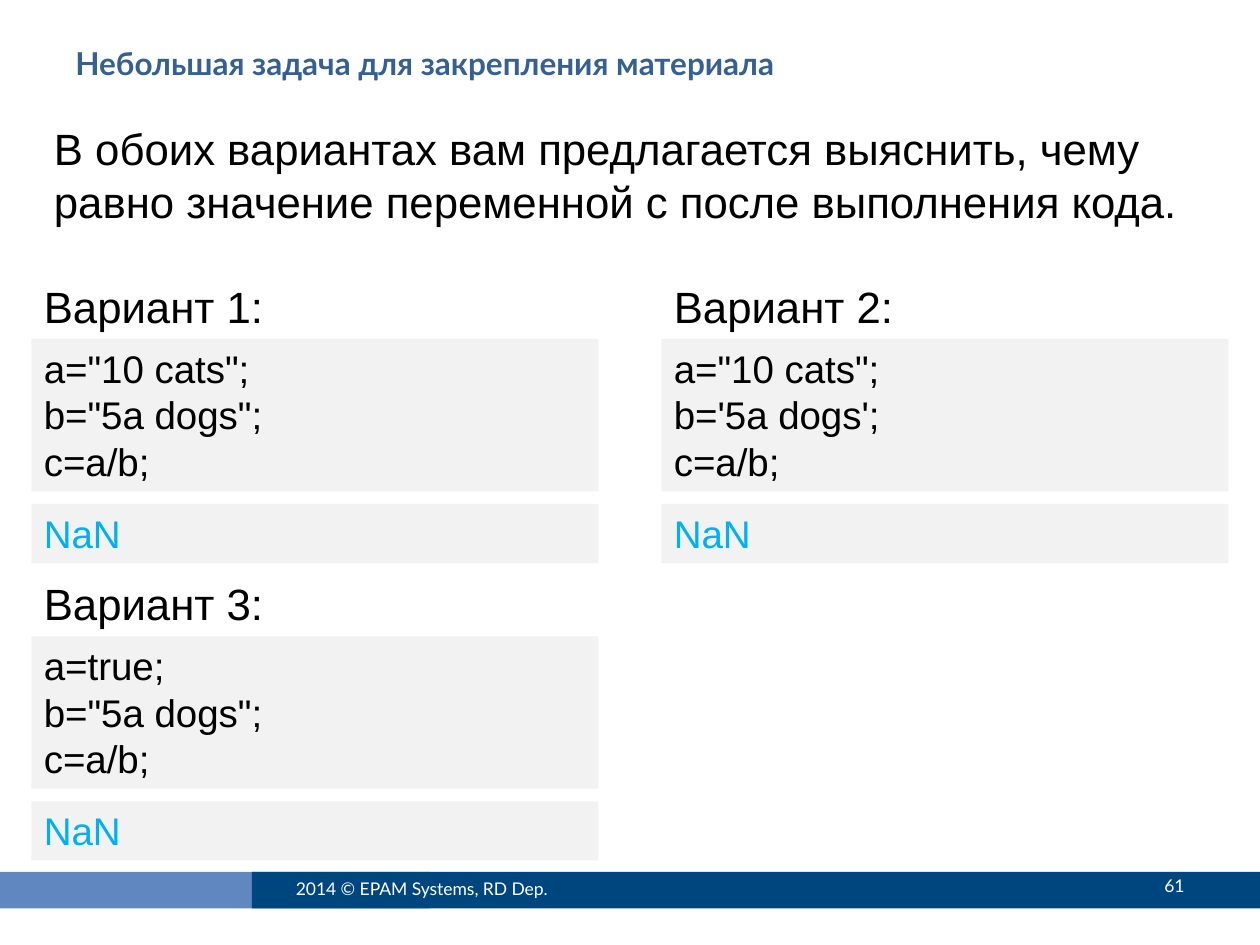
import dataclasses

import pptx
import pptx.dml.color
import pptx.enum.shapes
import pptx.enum.text
import pptx.util

ALIGN = pptx.enum.text.PP_ALIGN
ANCHOR = pptx.enum.text.MSO_ANCHOR


@dataclasses.dataclass(frozen=True)
class Theme:
    body_font: str = "Arial"
    brand_font: str = "Lato"
    heading: str = "376092"
    ink: str = "000000"
    answer: str = "00B0F0"
    panel: str = "F2F2F2"
    accent: str = "6087BF"
    footer: str = "00467E"
    white: str = "FFFFFF"
    title_size: int = 18
    body_size: int = 25
    code_size: int = 22
    footer_size: int = 10


class TaskSlide:
    """Places elements on a grid of 40 columns by 75 rows."""

    COLUMNS, ROWS = 40, 75

    def __init__(self, deck, theme):
        self.theme = theme
        self.slide = deck.slides.add_slide(deck.slide_layouts[6])
        self.column = deck.slide_width / self.COLUMNS
        self.row = deck.slide_height / self.ROWS

    def place(self, left, top, width, height):
        return (round(left * self.column), round(top * self.row),
                round(width * self.column), round(height * self.row))

    def fill_text(self, frame, lines, size, color, font, bold=False,
                  align=ALIGN.LEFT, anchor=ANCHOR.TOP):
        frame.word_wrap = True
        frame.vertical_anchor = anchor
        for number, line in enumerate(lines):
            paragraph = frame.paragraphs[0] if number == 0 else frame.add_paragraph()
            paragraph.alignment = align
            run = paragraph.add_run()
            run.text = line
            run.font.name = font
            run.font.size = pptx.util.Pt(size)
            run.font.bold = bold
            run.font.color.rgb = pptx.dml.color.RGBColor.from_string(color)

    def band(self, area, color):
        band = self.slide.shapes.add_shape(
            pptx.enum.shapes.MSO_SHAPE.RECTANGLE, *self.place(*area))
        band.shadow.inherit = False
        band.fill.solid()
        band.fill.fore_color.rgb = pptx.dml.color.RGBColor.from_string(color)
        band.line.fill.background()
        return band

    def text(self, area, line, size, color, font, **style):
        box = self.slide.shapes.add_textbox(*self.place(*area))
        self.fill_text(box.text_frame, [line], size, color, font, **style)

    def title(self, area, line):
        self.text(area, line, self.theme.title_size, self.theme.heading,
                  self.theme.brand_font, bold=True)

    def body(self, area, line):
        self.text(area, line, self.theme.body_size, self.theme.ink, self.theme.body_font)

    def footnote(self, area, line, align=ALIGN.LEFT):
        self.text(area, line, self.theme.footer_size, self.theme.white,
                  self.theme.brand_font, align=align, anchor=ANCHOR.MIDDLE)

    def panel(self, area, lines, color):
        panel = self.band(area, self.theme.panel)
        self.fill_text(panel.text_frame, lines, self.theme.code_size, color,
                       self.theme.body_font)

    def variant(self, left, top, heading, code, result):
        width = 18
        self.panel((left, top + 5.2, width, 12.1), code, self.theme.ink)
        self.body((left, top, width, 5.2), heading)
        self.panel((left, top + 18.3, width, 4.7), [result], self.theme.answer)


def main():
    deck = pptx.Presentation()
    deck.slide_width = pptx.util.Inches(10)
    deck.slide_height = pptx.util.Inches(7.5)
    theme = Theme()
    task = TaskSlide(deck, theme)

    # Footer bands
    task.band((0, 69.2, 13.64, 2.9), theme.accent)
    task.band((8, 69.2, 32, 2.9), theme.footer)

    # Title, footer text and task statement
    task.title((2, 3, 36, 7.8), "Небольшая задача для закрепления материала")
    task.footnote((9, 68.5, 10.68, 4), "2014 © EPAM Systems, RD Dep.")
    task.footnote((33.68, 68.3, 4.32, 4), "61", ALIGN.RIGHT)
    task.body((1.32, 9.2, 37, 9.4),
              "В обоих вариантах вам предлагается выяснить, чему равно "
              "значение переменной c после выполнения кода.")

    # Variants fill two columns, row by row
    variants = [
        ['a="10 cats";', 'b="5a dogs";', "c=a/b;"],
        ['a="10 cats";', "b='5a dogs';", "c=a/b;"],
        ["a=true;", 'b="5a dogs";', "c=a/b;"],
    ]
    for index, code in enumerate(variants):
        row, column = divmod(index, 2)
        task.variant(1 + 20 * column, 21.7 + 23.6 * row,
                     f"Вариант {index + 1}:", code, "NaN")

    deck.save("out.pptx")


if __name__ == "__main__":
    main()
